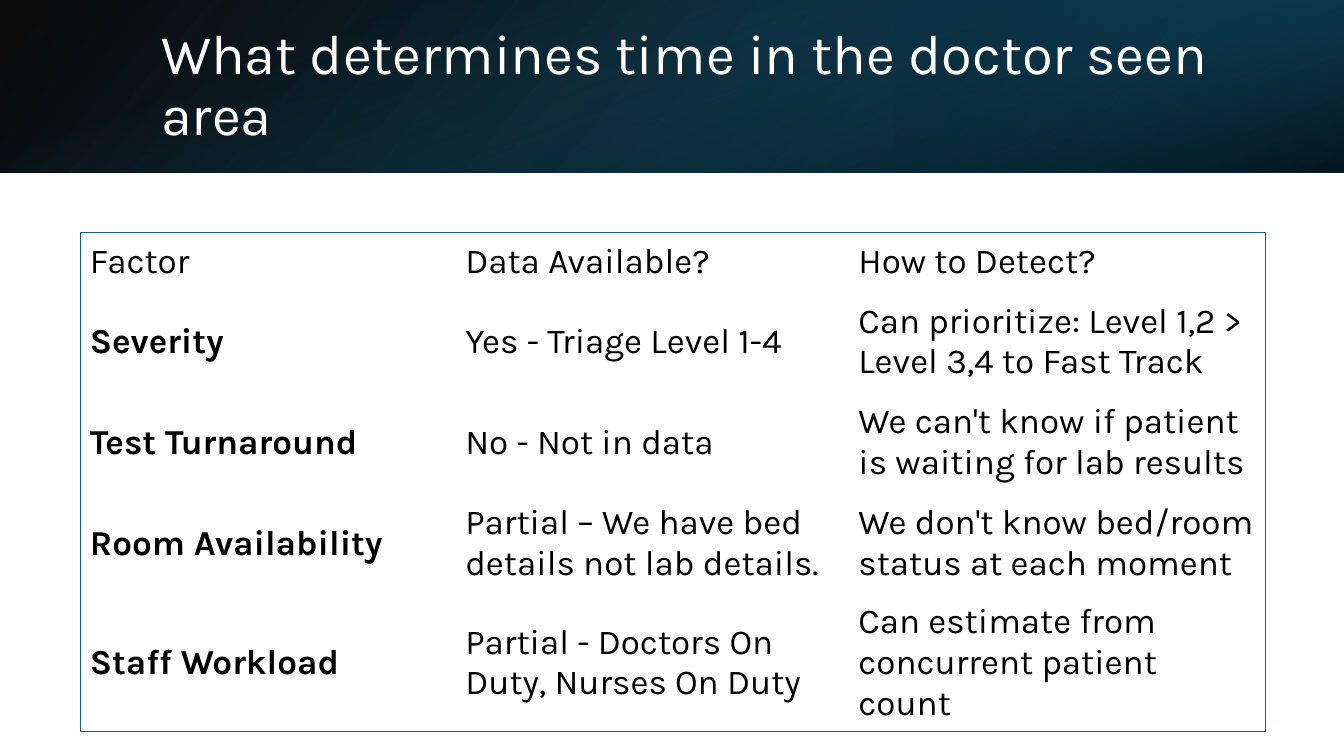
"""Build a slide with a gradient title banner and a table of waiting-time factors."""
import pptx
import pptx.dml.color
import pptx.enum.shapes
import pptx.enum.text
import pptx.oxml
import pptx.oxml.ns
import pptx.util

COLORS = {"black": "000000", "white": "FFFFFF", "blue": "156082",
          "deep": "104862", "navy": "0B3041"}
COLUMNS, ROWS = 160, 90
BANNER_ROWS = 20.6

FACTORS = [
    ("Factor", "Data Available?", "How to Detect?"),
    ("Severity", "Yes - Triage Level 1-4",
     "Can prioritize: Level 1,2 > Level 3,4 to Fast Track"),
    ("Test Turnaround", "No - Not in data",
     "We can't know if patient is waiting for lab results"),
    ("Room Availability", "Partial – We have bed details not lab details.",
     "We don't know bed/room status at each moment"),
    ("Staff Workload", "Partial - Doctors On Duty, Nurses On Duty",
     "Can estimate from concurrent patient count"),
]


class SlideBuilder:
    """Hold the style and the current slide, measured in grid columns and rows."""

    font_name = "Karla"

    def __init__(self, presentation):
        self.unit = presentation.slide_width / COLUMNS
        self.slide = presentation.slides.add_slide(presentation.slide_layouts[6])

    def grid(self, *lengths):
        return [round(length * self.unit) for length in lengths]

    def color(self, name):
        return pptx.dml.color.RGBColor.from_string(COLORS[name])

    def element(self, xml):
        namespace = pptx.oxml.ns.nsdecls("a")
        return pptx.oxml.parse_xml(xml.replace("NS", namespace, 1))

    def format_runs(self, paragraph, size, color, bold=False):
        for run in paragraph.runs:
            run.font.name = self.font_name
            run.font.size = pptx.util.Pt(size)
            run.font.bold = bold
            run.font.color.rgb = self.color(color)

    def gradient(self, box, stops, angle, rotation=0, flip=False):
        shape = self.slide.shapes.add_shape(
            pptx.enum.shapes.MSO_SHAPE.RECTANGLE, *self.grid(*box))
        shape.shadow.inherit = False
        shape.line.fill.background()
        shape.rotation = rotation
        if flip:
            shape._element.spPr.xfrm.set("flipH", "1")
        shape.fill.gradient()
        shape.fill.gradient_angle = 360 - angle
        for stop, (position, color, _) in zip(shape.fill.gradient_stops, stops):
            stop.position = position
            stop.color.rgb = self.color(color)
        color_elements = shape._element.xpath(".//a:gradFill//a:srgbClr")
        for color_element, (_, _, opacity) in zip(color_elements, stops):
            color_element.append(self.element(
                f'<a:alpha NS val="{round(opacity * 100000)}"/>'))

    def title(self, box, text, size):
        text_frame = self.slide.shapes.add_textbox(*self.grid(*box)).text_frame
        text_frame.word_wrap = True
        text_frame.vertical_anchor = pptx.enum.text.MSO_ANCHOR.MIDDLE
        text_frame.text = text
        paragraph = text_frame.paragraphs[0]
        paragraph.line_spacing = 0.9
        paragraph.space_after = pptx.util.Pt(6)
        self.format_runs(paragraph, size, "white")

    def border(self, cell, side, visible):
        fill = (f'<a:solidFill><a:srgbClr val="{COLORS["blue"]}"/></a:solidFill>'
                if visible else "<a:noFill/>")
        cell._tc.get_or_add_tcPr().append(self.element(
            f'<a:ln{side} NS w="{pptx.util.Pt(1)}">{fill}</a:ln{side}>'))

    def table(self, left, top, widths, heights, texts, size):
        frame = self.slide.shapes.add_table(
            len(heights), len(widths),
            *self.grid(left, top, sum(widths), sum(heights)))
        table = frame.table
        table.first_row = table.horz_banding = False
        for column, width in zip(table.columns, self.grid(*widths)):
            column.width = width
        for row, height in zip(table.rows, self.grid(*heights)):
            row.height = height
        last_row, last_column = len(heights) - 1, len(widths) - 1
        for row_index, row_texts in enumerate(texts):
            for column_index, text in enumerate(row_texts):
                cell = table.cell(row_index, column_index)
                cell.text = text
                cell.vertical_anchor = pptx.enum.text.MSO_ANCHOR.MIDDLE
                cell.margin_left, cell.margin_top = self.grid(1.1, 0.7)
                cell.margin_right, cell.margin_bottom = self.grid(1.1, 0.7)
                self.border(cell, "L", column_index == 0)
                self.border(cell, "R", column_index == last_column)
                self.border(cell, "T", row_index == 0)
                self.border(cell, "B", row_index == last_row)
                cell.fill.background()
                self.format_runs(cell.text_frame.paragraphs[0], size, "black",
                                 bold=column_index == 0 and row_index > 0)


def main():
    presentation = pptx.Presentation()
    presentation.slide_width = pptx.util.Inches(COLUMNS / 12)
    presentation.slide_height = pptx.util.Inches(ROWS / 12)
    builder = SlideBuilder(presentation)

    builder.gradient((0, 0, COLUMNS, BANNER_ROWS),
                     [(0, "black", 0.96), (1, "deep", 1)], 140, flip=True)
    builder.gradient((COLUMNS * 2 / 3, 0, COLUMNS / 3, BANNER_ROWS),
                     [(0.19, "navy", 0.68), (1, "blue", 0.79)],
                     320, rotation=180, flip=True)
    offset = (COLUMNS - BANNER_ROWS) / 2
    builder.gradient((offset, -offset, BANNER_ROWS, COLUMNS),
                     [(0.23, "blue", 0), (0.99, "black", 0.74)],
                     340, rotation=90)

    builder.title((18, 4.6, 131.8, 11.5),
                  "What determines time in the doctor seen area", 40)
    builder.table(9.6, 27.7, [44.7, 46.8, 49.6], [7] + [12] * 4, FACTORS, 25)
    presentation.save("out.pptx")


if __name__ == "__main__":
    main()
